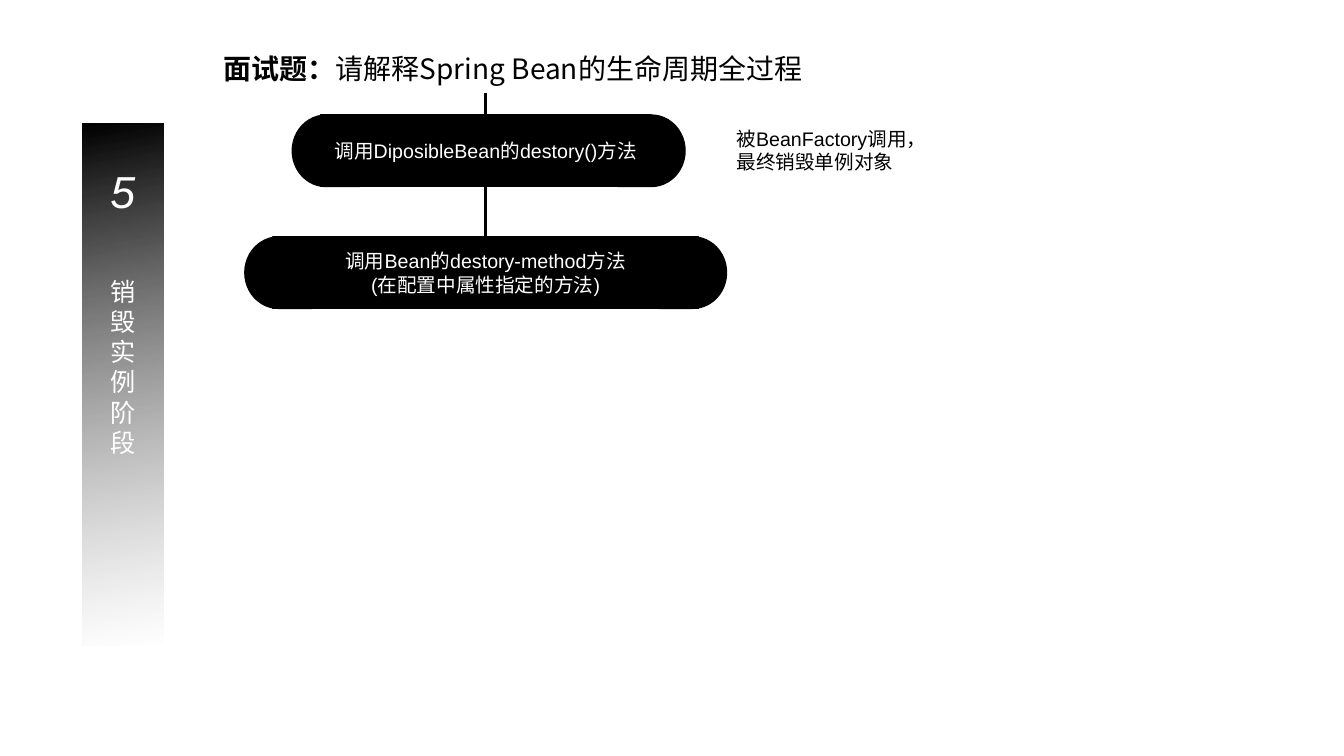
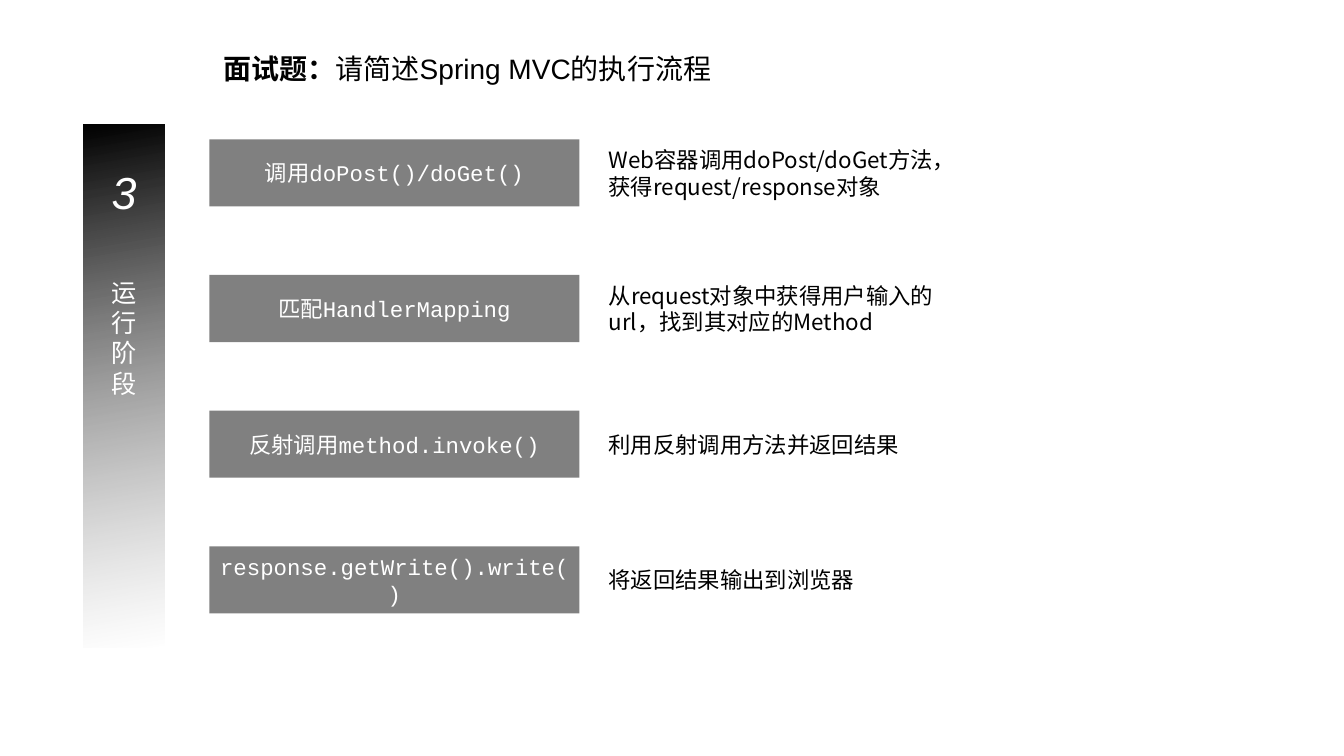
from lxml import etree
from pptx import Presentation
from pptx.dml.color import RGBColor
from pptx.enum.shapes import MSO_CONNECTOR, MSO_SHAPE
from pptx.enum.text import MSO_ANCHOR, PP_ALIGN
from pptx.oxml.ns import qn
from pptx.util import Cm, Pt

RECTANGLE, CAP = MSO_SHAPE.RECTANGLE, MSO_SHAPE.FLOWCHART_DELAY
STRAIGHT = MSO_CONNECTOR.STRAIGHT
TOP, MIDDLE = MSO_ANCHOR.TOP, MSO_ANCHOR.MIDDLE
LEFT, CENTER = PP_ALIGN.LEFT, PP_ALIGN.CENTER

BLACK, GREY, WHITE = "000000", "808080", "FFFFFF"
SANS, MONO, CJK = "Arial", "Courier New", "Noto Sans CJK SC"

# Destroy flow, in cm
AXIS_X = 12.24
CAP_WIDTH, PILL_HEIGHT = 1.7, 1.8
PILL_TOPS = (2.9, 5.97)

# Step rows, in cm
STEP_LEFT, STEP_TOP, STEP_PITCH = 5.28, 3.51, 3.42
STEP_WIDTH, STEP_HEIGHT = 9.32, 1.69
NOTE_LEFT, NOTE_WIDTH = 15.09, 9.02

STEPS = [
    ("调用doPost()/doGet()", "Web容器调用doPost/doGet方法，获得request/response对象"),
    ("匹配HandlerMapping", "从request对象中获得用户输入的url，找到其对应的Method"),
    ("反射调用method.invoke()", "利用反射调用方法并返回结果"),
    ("response.getWrite().write()", "将返回结果输出到浏览器"),
]


def color(value):
    return RGBColor.from_string(value)


def add_span(para, text, *, size=14, font=SANS, ink=BLACK, bold=False, italic=False):
    span = para.add_run()
    span.text = text
    span.font.size = Pt(size)
    span.font.name = font
    span.font.bold = bold
    span.font.italic = italic
    span.font.color.rgb = color(ink)
    etree.SubElement(span.font._element, qn("a:ea"), typeface=CJK)


def write(box, lines, *, align=LEFT, anchor=TOP, **style):
    """Fill a box with one paragraph per line."""
    frame = box.text_frame
    frame.word_wrap = True
    frame.vertical_anchor = anchor
    for index, line in enumerate(lines):
        para = frame.add_paragraph() if index else frame.paragraphs[0]
        para.alignment = align
        add_span(para, line, **style)
    return frame


def add_text(slide, left, top, width, height, lines, **style):
    box = slide.shapes.add_textbox(Cm(left), Cm(top), Cm(width), Cm(height))
    return write(box, lines, **style)


def add_block(shapes, kind, left, top, width, height, fill, outline=None):
    block = shapes.add_shape(kind, Cm(left), Cm(top), Cm(width), Cm(height))
    block.shadow.inherit = False
    block.fill.solid()
    block.fill.fore_color.rgb = color(fill)
    if outline:
        block.line.color.rgb = color(outline)
        block.line.width = Pt(1)
    else:
        block.line.fill.background()
    return block


def add_title(slide, question, font):
    frame = add_text(slide, 5.38, 1.17, 27.66, 1.12, ["面试题："],
                     size=20, font=CJK, bold=True)
    add_span(frame.paragraphs[0], question, size=20, font=font)


def add_stage_bar(slide, left, top, number, name):
    """Fading bar with a stage number above its vertical name."""
    bar = add_block(slide.shapes, RECTANGLE, left, top, 2.03, 13.16, BLACK)
    bar.fill.gradient()
    bar.fill.gradient_angle = 100
    for stop, position, shade in zip(bar.fill.gradient_stops, (0, 1), (GREY, BLACK)):
        stop.position = position
        stop.color.rgb = color(shade)
    first_shade = bar.element.find(".//" + qn("a:srgbClr"))
    etree.SubElement(first_shade, qn("a:alpha"), val="0")

    frame = write(bar, [number], align=CENTER, size=32, ink=WHITE, italic=True)
    frame.margin_top = Cm(1)
    for index, letter in enumerate(name):
        para = frame.add_paragraph()
        para.alignment = CENTER
        if index == 0:
            para.space_before = Pt(42)
        add_span(para, letter, size=18, ink=WHITE)


def add_pill(slide, top, width, left_reach, right_reach, lines):
    """Body centred on the axis, with a round cap reaching out at each end."""
    shapes = slide.shapes.add_group_shape().shapes
    left = AXIS_X - width / 2
    right_cap = left + width + right_reach - CAP_WIDTH
    for cap_left, turn in ((left - left_reach, 180), (right_cap, 0)):
        cap = add_block(shapes, CAP, cap_left, top, CAP_WIDTH, PILL_HEIGHT, BLACK, BLACK)
        cap.rotation = turn
    body = add_block(shapes, RECTANGLE, left, top, width, PILL_HEIGHT, BLACK, BLACK)
    write(body, lines, align=CENTER, anchor=MIDDLE, ink=WHITE)


def add_axis(slide, top, bottom):
    axis = slide.shapes.add_connector(STRAIGHT, Cm(AXIS_X), Cm(top), Cm(AXIS_X), Cm(bottom))
    axis.line.color.rgb = color(BLACK)
    axis.line.width = Pt(2)
    etree.SubElement(axis.element.spPr, qn("a:effectLst"))


def add_step(slide, top, call, note):
    block = add_block(slide.shapes, RECTANGLE, STEP_LEFT, top, STEP_WIDTH, STEP_HEIGHT, GREY)
    write(block, [call], align=CENTER, anchor=MIDDLE, size=16, font=MONO, ink=WHITE)
    add_text(slide, NOTE_LEFT, top, NOTE_WIDTH, STEP_HEIGHT, [note],
             anchor=MIDDLE, size=16, font=CJK)


def build_destroy_slide(slide):
    add_title(slide, "请解释Spring Bean的生命周期全过程", CJK)
    add_axis(slide, 2.34, PILL_TOPS[1])
    add_pill(slide, PILL_TOPS[0], 8.33, 0.71, 0.86, ["调用DiposibleBean的destory()方法"])
    add_pill(slide, PILL_TOPS[1], 10.72, 0.71, 0.71,
             ["调用Bean的destory-method方法", "(在配置中属性指定的方法)"])
    add_text(slide, 18.31, 3.07, 5.51, 1.45, ["被BeanFactory调用，最终销毁单例对象"])
    add_stage_bar(slide, 2.08, 3.12, "5", "销毁实例阶段")


def build_run_slide(slide):
    add_title(slide, "请简述Spring MVC的执行流程", SANS)
    add_stage_bar(slide, 2.11, 3.15, "3", "运行阶段")
    for row, (call, note) in enumerate(STEPS):
        add_step(slide, STEP_TOP + row * STEP_PITCH, call, note)


def main():
    deck = Presentation()
    deck.slide_width, deck.slide_height = Cm(33.87), Cm(19.05)
    blank = deck.slide_layouts[6]
    for build in (build_destroy_slide, build_run_slide):
        build(deck.slides.add_slide(blank))
    deck.save("out.pptx")


if __name__ == "__main__":
    main()
